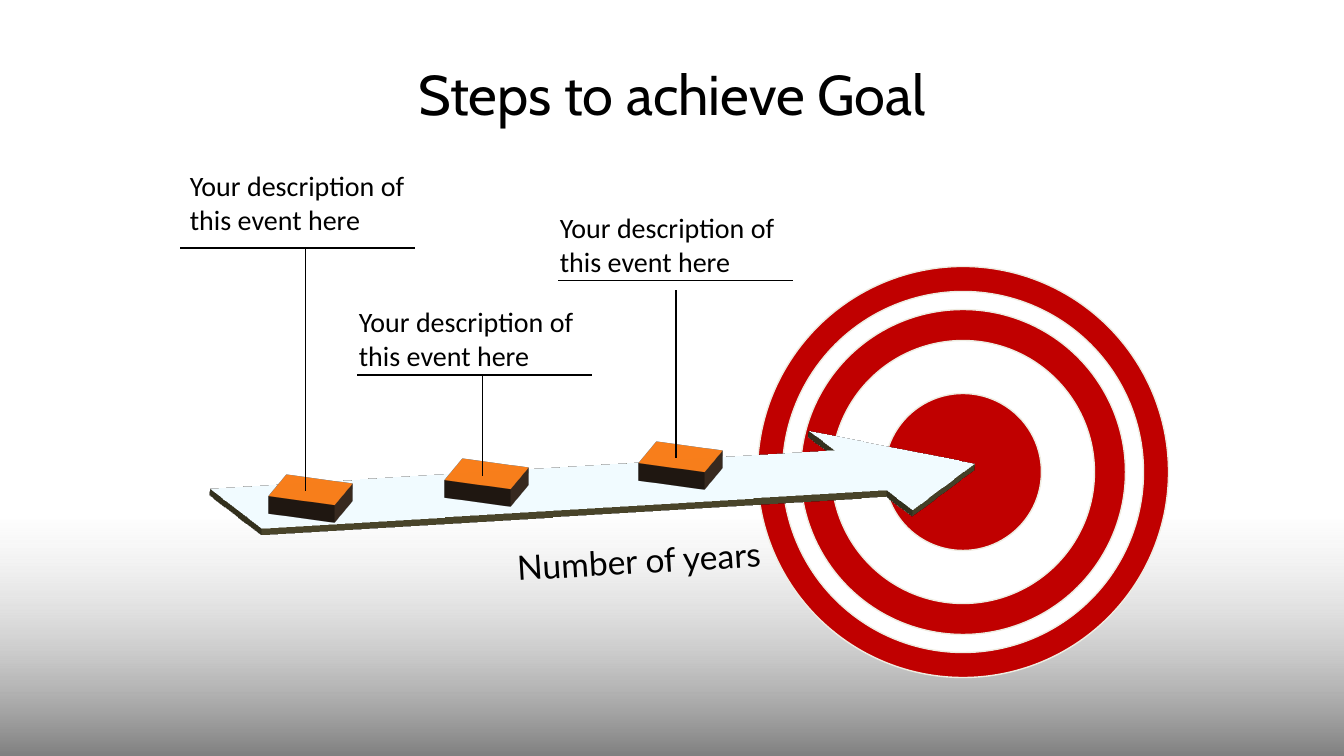
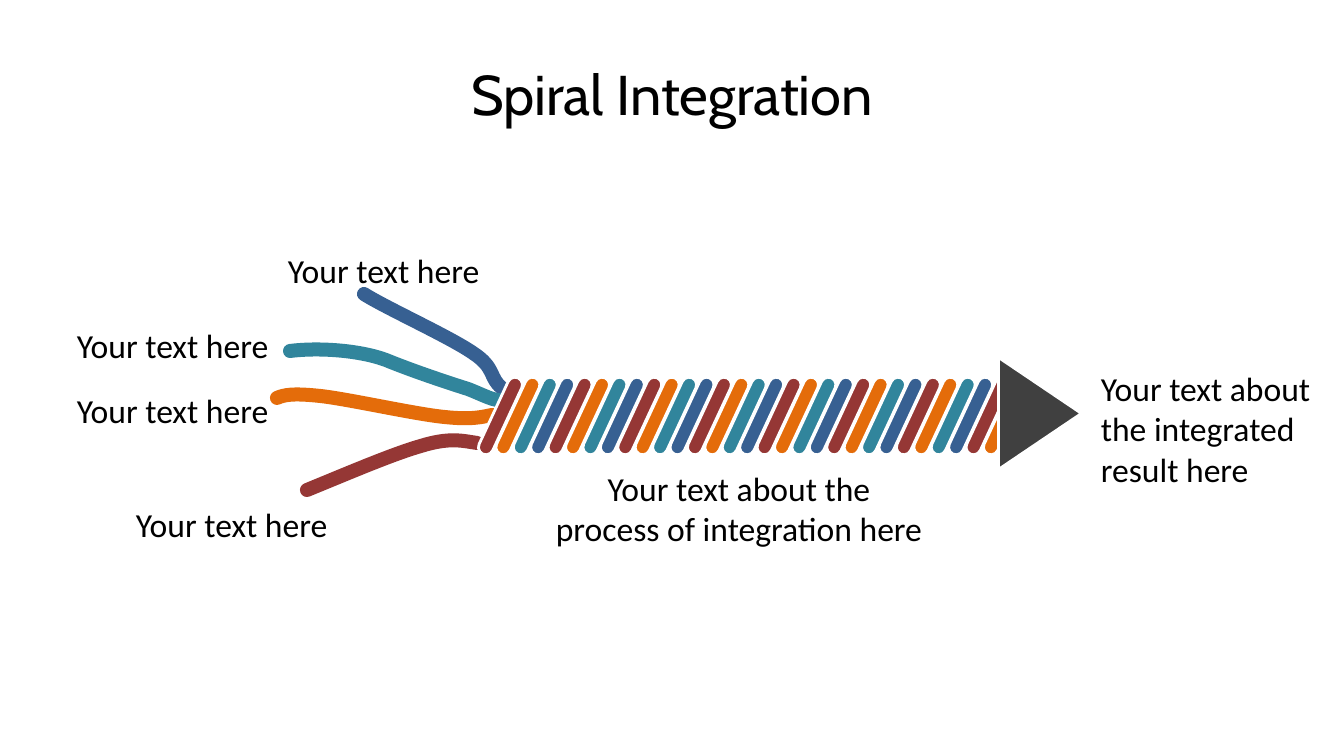
from dataclasses import dataclass

from lxml import etree
from pptx import Presentation
from pptx.dml.color import RGBColor
from pptx.enum.shapes import MSO_CONNECTOR, MSO_SHAPE
from pptx.enum.text import MSO_ANCHOR, PP_ALIGN
from pptx.oxml.ns import qn
from pptx.util import Emu, Pt

LEFT, CENTER = PP_ALIGN.LEFT, PP_ALIGN.CENTER
TOP, MIDDLE = MSO_ANCHOR.TOP, MSO_ANCHOR.MIDDLE
RECTANGLE, OVAL = MSO_SHAPE.RECTANGLE, MSO_SHAPE.OVAL
ARROW, DIAMOND = MSO_SHAPE.RIGHT_ARROW, MSO_SHAPE.DIAMOND
ROUNDED, TRIANGLE = MSO_SHAPE.ROUNDED_RECTANGLE, MSO_SHAPE.ISOSCELES_TRIANGLE
STRAIGHT = MSO_CONNECTOR.STRAIGHT

WIDTH, HEIGHT = 1344, 756
EMU_PER_PX = 12192000 / WIDTH


def px(length):
    return Emu(round(length * EMU_PER_PX))


@dataclass(frozen=True)
class Theme:
    # Colours
    black: str = "000000"
    white: str = "FFFFFF"
    target_red: str = "C00000"
    ring_edge: str = "EEECE1"
    arrow_top: str = "DCE6F2"
    arrow_side: str = "948A54"
    block_edge: str = "984807"
    block_side: str = "7F5F48"
    blue: str = "376092"
    teal: str = "31859C"
    orange: str = "E46C0A"
    red: str = "953735"
    charcoal: str = "404040"
    # Position, colour and opacity, in percent
    floor: tuple = ((0, "D9D9D9", 4), (46, "BFBFBF", 60), (100, "808080", 100))
    # Fonts and type sizes
    title_font: str = "Cabin"
    body_font: str = "Calibri"
    accent_font: str = "Lato"
    title_size: int = 40
    body_size: int = 24
    callout_size: int = 20


class Deck:
    def __init__(self, theme):
        self.theme = theme
        self.presentation = Presentation()
        self.presentation.slide_width = px(WIDTH)
        self.presentation.slide_height = px(HEIGHT)
        self.slide = None

    def add_slide(self, title):
        layout = self.presentation.slide_layouts[6]
        self.slide = self.presentation.slides.add_slide(layout)
        self.text(title, 67, 30, 1210, 126, size=self.theme.title_size,
                  font=self.theme.title_font, align=CENTER, anchor=MIDDLE)

    def text(self, words, left, top, width, height, size=None, font=None,
             align=LEFT, anchor=TOP, wrap=True, rotation=0):
        box = self.slide.shapes.add_textbox(px(left), px(top), px(width), px(height))
        box.rotation = rotation
        frame = box.text_frame
        frame.word_wrap = wrap
        frame.vertical_anchor = anchor
        paragraph = frame.paragraphs[0]
        paragraph.text = words
        paragraph.alignment = align
        paragraph.font.size = Pt(size or self.theme.body_size)
        paragraph.font.name = font or self.theme.body_font
        paragraph.font.color.rgb = RGBColor.from_string(self.theme.black)

    def paint(self, shape, fill=None, line=None, weight=1):
        shape.shadow.inherit = False
        if fill:
            shape.fill.solid()
            shape.fill.fore_color.rgb = RGBColor.from_string(fill)
        else:
            shape.fill.background()
        if line:
            shape.line.color.rgb = RGBColor.from_string(line)
            shape.line.width = Pt(weight)
        else:
            shape.line.fill.background()
        return shape

    def shape(self, kind, left, top, width, height, fill=None, line=None,
              weight=1, rotation=0):
        shape = self.slide.shapes.add_shape(
            kind, px(left), px(top), px(width), px(height))
        shape.rotation = rotation
        return self.paint(shape, fill, line, weight)

    def gradient(self, left, top, width, height, stops):
        shape = self.shape(RECTANGLE, left, top, width, height)
        shape.fill.gradient()
        shape.fill.gradient_angle = 270
        stop_list = next(shape._element.iter(qn("a:gsLst")))
        for stop in list(stop_list):
            stop_list.remove(stop)
        for position, color, opacity in stops:
            stop = etree.SubElement(stop_list, qn("a:gs"), pos=str(position * 1000))
            tone = etree.SubElement(stop, qn("a:srgbClr"), val=color)
            etree.SubElement(tone, qn("a:alpha"), val=str(opacity * 1000))

    def extrude(self, shape, depth, color, roll=0):
        """Lay a shape flat in an off-axis view, turned clockwise by roll degrees."""
        properties = shape._element.spPr
        scene = etree.SubElement(properties, qn("a:scene3d"))
        camera = etree.SubElement(scene, qn("a:camera"), prst="isometricOffAxis1Top")
        if roll:
            etree.SubElement(camera, qn("a:rot"), lat="18078000", lon="18390000",
                             rev=str(3456000 - roll * 60000))
        etree.SubElement(scene, qn("a:lightRig"), rig="threePt", dir="t")
        solid = etree.SubElement(properties, qn("a:sp3d"), extrusionH=str(Pt(depth)))
        side = etree.SubElement(solid, qn("a:extrusionClr"))
        etree.SubElement(side, qn("a:srgbClr"), val=color)

    def strand(self, points, color, weight=10):
        """Open line of joined cubic curves: start, then three points per curve."""
        points = [(px(x), px(y)) for x, y in points]
        builder = self.slide.shapes.build_freeform(*points[0], scale=1.0)
        builder.add_line_segments(points[1:], close=False)
        shape = self.paint(builder.convert_to_shape(), line=color, weight=weight)
        shape.line._get_or_add_ln().set("cap", "rnd")
        outline = next(shape._element.iter(qn("a:path")))
        segments = outline.findall(qn("a:lnTo"))
        for index, segment in enumerate(segments):
            if index % 3 == 0:
                curve = etree.SubElement(outline, qn("a:cubicBezTo"))
            curve.append(segment[0])
            outline.remove(segment)

    def line(self, x1, y1, x2, y2, weight=0.75):
        line = self.slide.shapes.add_connector(
            STRAIGHT, px(x1), px(y1), px(x2), px(y2))
        line.line.color.rgb = RGBColor.from_string(self.theme.black)
        line.line.width = Pt(weight)
        etree.SubElement(line._element.spPr, qn("a:effectLst"))

    def callout(self, words, box, rule, stem):
        stem_x, stem_top, stem_bottom = stem
        self.line(stem_x, stem_bottom, stem_x, stem_top)
        self.text(words, *box, 269, 78, size=self.theme.callout_size)
        rule_left, rule_y = rule
        self.line(rule_left + 235, rule_y, rule_left, rule_y)


def goal_slide(deck):
    theme = deck.theme
    deck.add_slide("Steps to achieve Goal")
    deck.gradient(0, 520, WIDTH, HEIGHT - 520, theme.floor)

    # Target rings
    for index, diameter in enumerate((411, 361, 325, 263, 157)):
        fill = theme.white if index % 2 else theme.target_red
        deck.shape(OVAL, 963 - diameter / 2, 472 - diameter / 2, diameter, diameter,
                   fill, theme.ring_edge)

    # Arrow lying in perspective
    arrow = deck.shape(ARROW, 198, 360, 814, 252, theme.arrow_top)
    deck.extrude(arrow, 5, theme.arrow_side, roll=5)
    deck.text("Number of years", 507, 535, 271, 50, font=theme.accent_font,
              wrap=False, rotation=356.6)

    # Step blocks
    for left, top in ((264, 435), (440, 419), (634, 402)):
        block = deck.shape(DIAMOND, left, top, 93, 109, theme.orange,
                           theme.block_edge, 2)
        deck.extrude(block, 13, theme.block_side)

    # Callouts: text corner, rule start, stem
    callouts = (
        ((180, 164), (180, 248), (306, 248, 491)),
        ((349, 300), (357, 375), (483, 375, 476)),
        ((550, 206), (558, 281), (676, 290, 458)),
    )
    for box, rule, stem in callouts:
        deck.callout("Your description of this event here", box, rule, stem)


def spiral_slide(deck):
    theme = deck.theme
    deck.add_slide("Spiral Integration")

    # Loose strands
    strands = (
        (theme.blue, [(502, 388), (489, 378), (496, 368), (473, 353),
                      (450, 337), (386, 308), (364, 294)]),
        (theme.teal, [(503, 400), (493, 401), (486, 396), (468, 389),
                      (449, 383), (416, 372), (391, 362),
                      (366, 351), (322, 347), (290, 351)]),
        (theme.orange, [(492, 415), (482, 417), (472, 420), (444, 417),
                        (414, 414), (348, 399), (320, 396),
                        (292, 393), (284, 395), (277, 398)]),
        (theme.red, [(477, 443), (463, 441), (450, 437), (421, 446),
                     (393, 454), (351, 472), (307, 490)]),
    )
    for color, points in strands:
        deck.strand(points, color)

    # Twisted cable and arrowhead
    colors = (theme.red, theme.orange, theme.teal, theme.blue)
    stripe_count, first_left, last_left = 30, 493, 998
    pitch = (last_left - first_left) / (stripe_count - 1)
    for index in range(stripe_count):
        stripe = deck.shape(ROUNDED, first_left + index * pitch, 374, 15, 84,
                            colors[index % len(colors)], theme.white, 2, 24.9)
        stripe.adjustments[0] = 0.5
    deck.shape(TRIANGLE, 984, 372, 112, 83, theme.charcoal, theme.white, 2, 90)

    # Labels
    for left, top in ((278, 245), (67, 320), (67, 385), (126, 499)):
        deck.text("Your text here", left, top, 214, 50, wrap=False)
    deck.text("Your text about the integrated result here", 1091, 363, 230, 132)
    deck.text("Your text about the process of integration here", 545, 463, 388, 92,
              align=CENTER)


def main():
    deck = Deck(Theme())
    goal_slide(deck)
    spiral_slide(deck)
    deck.presentation.save("out.pptx")


if __name__ == "__main__":
    main()
